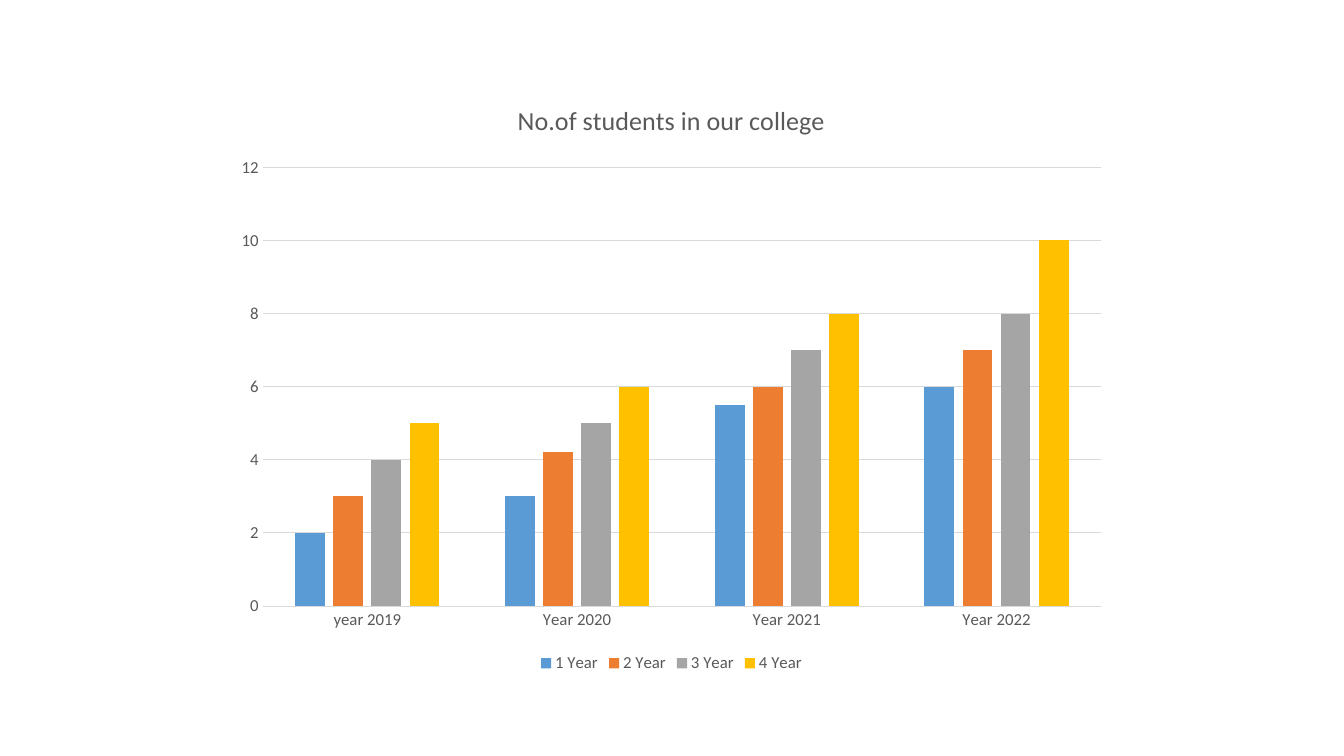
"""Build a slide with a clustered column chart of student numbers by year."""
from dataclasses import dataclass

from pptx import Presentation
from pptx.chart.chart import Chart
from pptx.chart.data import CategoryChartData
from pptx.dml.color import RGBColor
from pptx.enum.chart import XL_CHART_TYPE as ChartType
from pptx.enum.chart import XL_LEGEND_POSITION as LegendPosition
from pptx.enum.chart import XL_TICK_MARK as TickMark
from pptx.text.text import Font
from pptx.util import Emu, Pt

EMU_PER_PX = 9525


@dataclass(frozen=True)
class Theme:
    font: str = "Calibri"
    text: str = "595959"
    rule: str = "D9D9D9"
    title_size: float = 18.6
    label_size: float = 12
    rule_width: float = 0.75


@dataclass(frozen=True)
class YearGroup:
    name: str
    students: tuple[float, ...]
    color: str


THEME = Theme()
CALENDAR_YEARS = ("year 2019", "Year 2020", "Year 2021", "Year 2022")
YEAR_GROUPS = (
    YearGroup("1 Year", (2, 3, 5.5, 6), "5B9BD5"),
    YearGroup("2 Year", (3, 4.2, 6, 7), "ED7D31"),
    YearGroup("3 Year", (4, 5, 7, 8), "A5A5A5"),
    YearGroup("4 Year", (5, 6, 8, 10), "FFC000"),
)


def px(length: int) -> Emu:
    return Emu(length * EMU_PER_PX)


def style_font(font: Font, size: float) -> None:
    font.name = THEME.font
    font.size = Pt(size)
    font.bold = False
    font.color.rgb = RGBColor.from_string(THEME.text)


def style_rule(line) -> None:
    line.color.rgb = RGBColor.from_string(THEME.rule)
    line.width = Pt(THEME.rule_width)


def style_title(chart: Chart) -> None:
    chart.has_title = True
    heading = chart.chart_title
    heading.include_in_layout = False
    heading.text_frame.text = "No.of students in our college"
    style_font(heading.text_frame.paragraphs[0].font, THEME.title_size)


def style_axes(chart: Chart) -> None:
    years, counts = chart.category_axis, chart.value_axis
    for axis in (years, counts):
        axis.major_tick_mark = TickMark.NONE
        axis.minor_tick_mark = TickMark.NONE
        style_font(axis.tick_labels.font, THEME.label_size)
    style_rule(years.format.line)
    counts.format.line.fill.background()
    counts.minimum_scale, counts.maximum_scale = 0, 12
    counts.major_unit = 2
    counts.has_major_gridlines = True
    style_rule(counts.major_gridlines.format.line)


def style_legend(chart: Chart) -> None:
    chart.has_legend = True
    chart.legend.position = LegendPosition.BOTTOM
    chart.legend.include_in_layout = False
    style_font(chart.legend.font, THEME.label_size)


def style_columns(chart: Chart) -> None:
    columns = chart.plots[0]
    columns.gap_width = 219
    columns.overlap = -27
    columns.vary_by_categories = False
    for series, group in zip(columns.series, YEAR_GROUPS):
        series.invert_if_negative = False
        series.format.fill.solid()
        series.format.fill.fore_color.rgb = RGBColor.from_string(group.color)


def main() -> None:
    deck = Presentation()
    deck.slide_width, deck.slide_height = px(1280), px(720)
    blank_layout = deck.slide_layouts[6]
    slide = deck.slides.add_slide(blank_layout)

    enrolment = CategoryChartData()
    enrolment.categories = CALENDAR_YEARS
    for group in YEAR_GROUPS:
        enrolment.add_series(group.name, group.students)
    chart = slide.shapes.add_chart(
        ChartType.COLUMN_CLUSTERED, px(213), px(76), px(853), px(569), enrolment
    ).chart

    style_font(chart.font, THEME.label_size)
    style_title(chart)
    style_axes(chart)
    style_legend(chart)
    style_columns(chart)
    deck.save("out.pptx")


if __name__ == "__main__":
    main()
